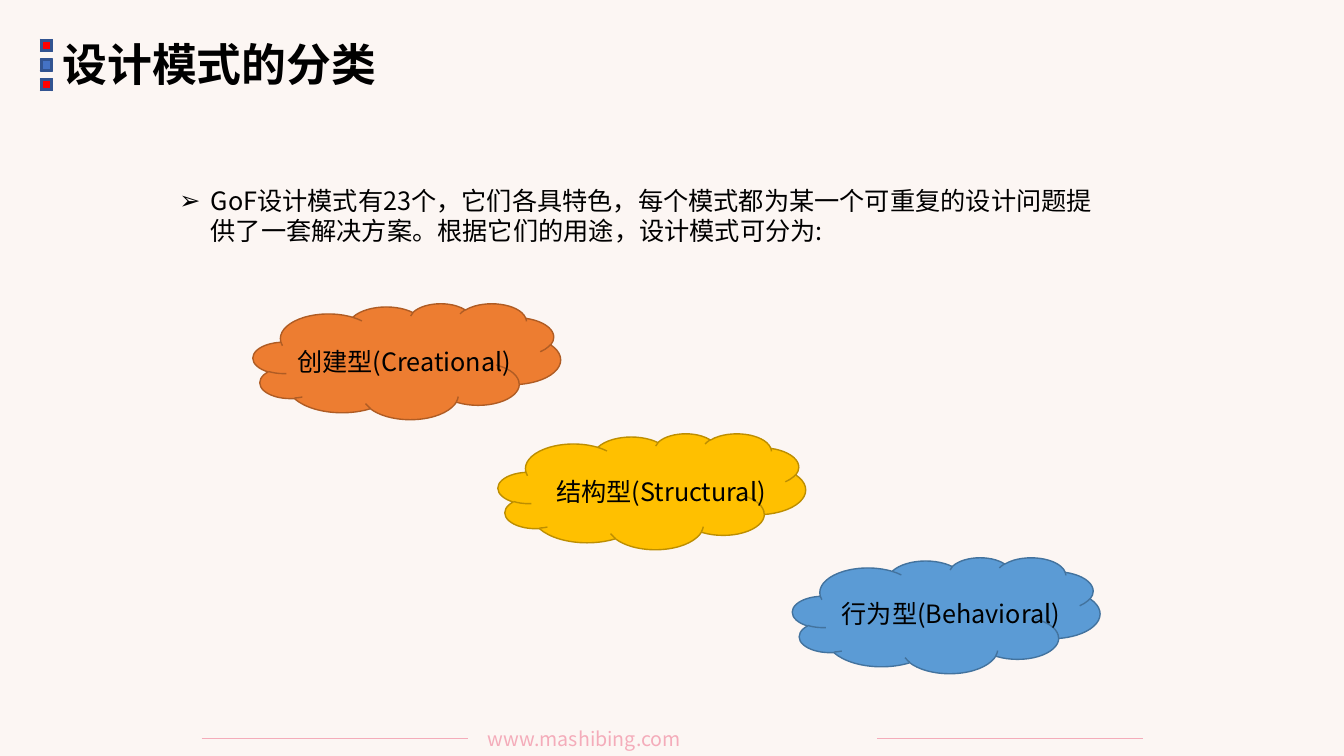
from lxml import etree
from pptx import Presentation
from pptx import util as u
from pptx.dml.color import RGBColor
from pptx.enum import shapes, text
from pptx.oxml.ns import qn

WIDTH, HEIGHT = 13.33, 7.5
FONT = "Noto Sans CJK SC"
COLORS = {
    "background": "FCF6F3", "ink": "000000", "footer": "F4ACBA",
    "red": "FF0000", "blue": "4472C4", "marker_edge": "325491",
    "orange": "ED7D31", "orange_edge": "AF5C24",
    "yellow": "FFC000", "yellow_edge": "BD8E00",
    "sky": "5B9BD5", "sky_edge": "43739E",
}
CATEGORIES = [
    ("创建型(Creational)", "orange", (2.51, 3.01), (0.34, 0.38)),
    ("结构型(Structural)", "yellow", (4.94, 4.3), (0.48, 0.38)),
    ("行为型(Behavioral)", "sky", (7.86, 5.53), (0.39, 0.36)),
]


def color(name):
    return RGBColor.from_string(COLORS[name])


def inches(box):
    return [u.Inches(length) for length in box]


def write(holder, wording, size, ink="ink", bold=False,
          align=text.PP_ALIGN.LEFT):
    frame = holder.text_frame
    frame.text = wording
    frame.word_wrap = True
    frame.auto_size = text.MSO_AUTO_SIZE.SHAPE_TO_FIT_TEXT
    frame.vertical_anchor = text.MSO_ANCHOR.TOP
    paragraph = frame.paragraphs[0]
    paragraph.alignment = align
    paragraph.space_before = u.Pt(0)
    for run in paragraph.runs:
        run.font.size = u.Pt(size)
        run.font.bold = bold
        run.font.name = FONT
        run.font.color.rgb = color(ink)
        east_asian = etree.SubElement(run.font._element, qn("a:ea"))
        east_asian.set("typeface", FONT)
    return paragraph


def place(holder, box):
    holder.left, holder.top, holder.width, holder.height = inches(box)


def add_filled(slide, preset, box, fill, edge):
    figure = slide.shapes.add_shape(preset, *inches(box))
    figure.shadow.inherit = False
    figure.fill.solid()
    figure.fill.fore_color.rgb = color(fill)
    figure.line.color.rgb = color(edge)
    figure.line.width = u.Pt(1)


def add_footer(slide, left, top, width):
    rule_width = 2.64
    for start in (left, left + width - rule_width):
        rule = slide.shapes.add_connector(
            shapes.MSO_CONNECTOR.STRAIGHT,
            *inches((start, top, start + rule_width, top)))
        rule.line.color.rgb = color("footer")
        rule.line.width = u.Pt(0.5)
        etree.SubElement(rule._element.spPr, qn("a:effectLst"))
    address = slide.shapes.add_textbox(
        *inches((left + rule_width + 0.1, top - 0.17, 3.85, 0.34)))
    write(address, "www.mashibing.com", 14, "footer",
          align=text.PP_ALIGN.JUSTIFY)


def add_heading(slide, left, top, width, height):
    marker = 0.12
    place(slide.shapes.title, (left + marker, top, width - marker, height))
    write(slide.shapes.title, "设计模式的分类", 32, bold=True)
    for row, fill in enumerate(("red", "blue", "red")):
        add_filled(slide, shapes.MSO_SHAPE.BEVEL,
                   (left, top + 0.08 + row * 0.195, marker, marker),
                   fill, "marker_edge")


def add_introduction(slide, box):
    body = slide.placeholders[1]
    place(body, box)
    paragraph = write(
        body, "GoF设计模式有23个，它们各具特色，每个模式都为某一个可重复的设计问题"
        "提供了一套解决方案。根据它们的用途，设计模式可分为:", 18)
    properties = paragraph._p.get_or_add_pPr()
    properties.set("marL", str(u.Inches(0.31)))
    properties.set("indent", str(-u.Inches(0.31)))
    etree.SubElement(properties, qn("a:buFont")).set("typeface", "Arial")
    etree.SubElement(properties, qn("a:buChar")).set("char", "➢")


def add_category(slide, wording, fill, corner, label_offset):
    left, top = corner
    add_filled(slide, shapes.MSO_SHAPE.CLOUD, (left, top, 3.05, 1.15),
               fill, fill + "_edge")
    label = slide.shapes.add_textbox(
        *inches((left + label_offset[0], top + label_offset[1], 2.37, 0.4)))
    write(label, wording, 18)


def main():
    deck = Presentation()
    deck.slide_width, deck.slide_height = inches((WIDTH, HEIGHT))
    slide = deck.slides.add_slide(deck.slide_layouts[1])
    slide.background.fill.solid()
    slide.background.fill.fore_color.rgb = color("background")
    add_footer(slide, 2, 7.33, 9.34)
    add_heading(slide, 0.4, 0.31, 5.47, 0.64)
    add_introduction(slide, (1.68, 1.79, 9.28, 0.71))
    for category in CATEGORIES:
        add_category(slide, *category)
    deck.save("out.pptx")


if __name__ == "__main__":
    main()
